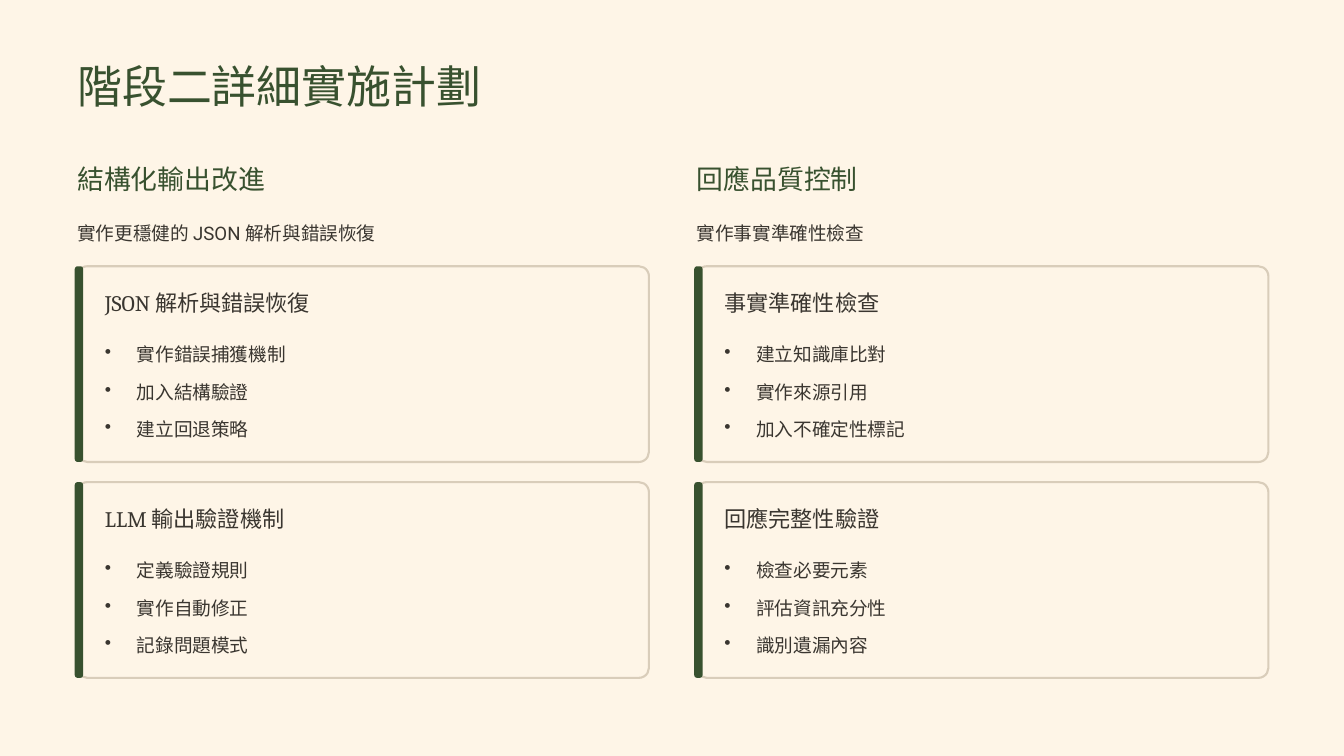
from lxml import etree
from pptx import Presentation
from pptx.dml.color import RGBColor
from pptx.enum.shapes import MSO_SHAPE
from pptx.oxml.ns import qn
from pptx.util import Inches, Pt

# Content: heading, introduction, cards with their bullet points
TITLE = "階段二詳細實施計劃"
COLUMNS = [
    ("結構化輸出改進", "實作更穩健的 JSON 解析與錯誤恢復", [
        ("JSON 解析與錯誤恢復", ["實作錯誤捕獲機制", "加入結構驗證", "建立回退策略"]),
        ("LLM 輸出驗證機制", ["定義驗證規則", "實作自動修正", "記錄問題模式"]),
    ]),
    ("回應品質控制", "實作事實準確性檢查", [
        ("事實準確性檢查", ["建立知識庫比對", "實作來源引用", "加入不確定性標記"]),
        ("回應完整性驗證", ["檢查必要元素", "評估資訊充分性", "識別遺漏內容"]),
    ]),
]

# Format
CREAM = RGBColor(0xFE, 0xF5, 0xE7)
GREEN = RGBColor(0x38, 0x51, 0x2F)
BROWN = RGBColor(0x3A, 0x36, 0x30)
SAND = RGBColor(0xD9, 0xCD, 0xBA)
SERIF, SANS = "Cambria", "Roboto"
ROUNDED = MSO_SHAPE.ROUNDED_RECTANGLE

# Grid, in inches
WIDTH, HEIGHT = 16, 9
MARGIN, GAP = 0.92, 0.57
COLUMN_WIDTH = (WIDTH - 2 * MARGIN - GAP) / 2 + 0.01
COLUMN_STEP = COLUMN_WIDTH + GAP
CARD_TOP, CARD_HEIGHT, CARD_STEP = 3.17, 2.33, 2.57
BAR_WIDTH, BAR_OVERLAP = 0.1, 0.03
PADDING = 0.33
INDENT = 0.38

deck = Presentation()
deck.slide_width, deck.slide_height = Inches(WIDTH), Inches(HEIGHT)
page = deck.slides.add_slide(deck.slide_layouts[6])
page.background.fill.solid()
page.background.fill.fore_color.rgb = CREAM


def add_text(lines, left, top, width, height, *, size, leading,
             font=SANS, color=BROWN, bullet=False, gap=0):
    box = page.shapes.add_textbox(Inches(left), Inches(top), Inches(width), Inches(height))
    frame = box.text_frame
    frame.word_wrap = True
    frame.margin_left = frame.margin_top = frame.margin_right = frame.margin_bottom = 0
    for index, line in enumerate(lines):
        para = frame.paragraphs[0] if index == 0 else frame.add_paragraph()
        if bullet:
            properties = para._p.get_or_add_pPr()
            properties.set("marL", str(Inches(INDENT)))
            properties.set("indent", str(-Inches(INDENT)))
            etree.SubElement(properties, qn("a:buChar")).set("char", "•")
        para.line_spacing = Pt(leading)
        if index:
            para.space_before = Pt(gap)
        span = para.add_run()
        span.text = line
        span.font.name, span.font.size = font, Pt(size)
        span.font.color.rgb = color


def add_panel(left, top, width, height, rounding, *, fill=None, line=None):
    panel = page.shapes.add_shape(
        ROUNDED, Inches(left), Inches(top), Inches(width), Inches(height))
    panel.adjustments[0] = rounding
    panel.shadow.inherit = False
    if fill is None:
        panel.fill.background()
    else:
        panel.fill.solid()
        panel.fill.fore_color.rgb = fill
    if line is None:
        panel.line.fill.background()
    else:
        panel.line.color.rgb = line
        panel.line.width = Pt(1.8)


def add_card(heading, points, left, top):
    add_panel(left, top, COLUMN_WIDTH, CARD_HEIGHT, 0.051, line=SAND)
    add_panel(left - BAR_OVERLAP, top, BAR_WIDTH, CARD_HEIGHT, 0.344, fill=GREEN)
    text_left, text_width = left + PADDING, COLUMN_WIDTH - 2 * PADDING
    add_text([heading], text_left, top + 0.26, text_width, 0.34,
             size=19, leading=24, font=SERIF)
    add_text(points, text_left, top + 0.82, text_width, 1.27,
             size=16, leading=26, bullet=True, gap=6.2)


# Title
add_text([TITLE], MARGIN, 0.67, WIDTH - 2 * MARGIN, 0.67,
         size=38.5, leading=48.5, font=SERIF, color=GREEN)

# Two columns of cards
for column, (heading, introduction, cards) in enumerate(COLUMNS):
    left = MARGIN + column * COLUMN_STEP
    add_text([heading], left, 1.92, COLUMN_WIDTH, 0.4,
             size=23, leading=29, font=SERIF, color=GREEN)
    add_text([introduction], left, 2.55, COLUMN_WIDTH, 0.37, size=16, leading=26)
    for row, (card_heading, points) in enumerate(cards):
        add_card(card_heading, points, left, CARD_TOP + row * CARD_STEP)

deck.save("out.pptx")
